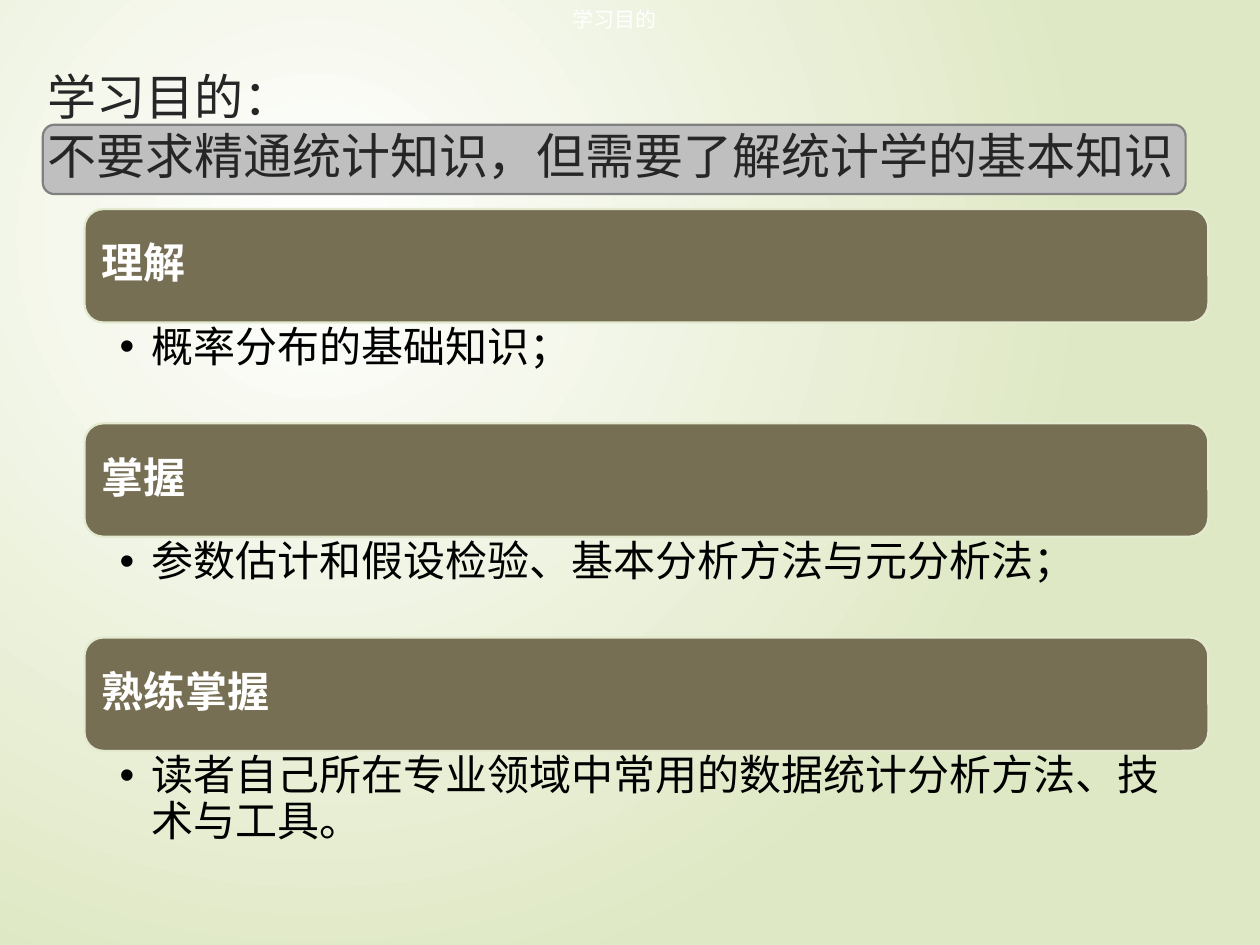
from lxml.etree import SubElement
from pptx import Presentation
from pptx.dml.color import RGBColor
from pptx.enum.shapes import MSO_SHAPE
from pptx.enum.text import MSO_ANCHOR, PP_ALIGN
from pptx.oxml.ns import qn
from pptx.util import Inches, Pt

HUES = {
    "white": "FFFFFF", "green": "DFE8C4", "gray": "BFBFBF", "edge": "808080",
    "olive": "766F54", "rim": "E3EACF", "dark": "262626", "black": "000000",
}
SANS = "Noto Sans CJK SC"
BODY = "TeX Gyre Adventor"


def hue(name):
    return RGBColor.from_string(HUES[name])


def write(frame, text, size=24, font=BODY, color="black", bold=False,
          space=0.9, align=PP_ALIGN.LEFT, bullet=False):
    para = frame.paragraphs[0]
    para.text = text
    para.alignment = align
    para.line_spacing = space
    if bullet:
        props = para._p.get_or_add_pPr()
        props.set("marL", str(Inches(0.25)))
        props.set("indent", str(-Inches(0.25)))
        SubElement(props, qn("a:buFont"), typeface="Arial")
        SubElement(props, qn("a:buChar"), char="•")
    for run in para.runs:
        run.font.size = Pt(size)
        run.font.bold = bold
        run.font.color.rgb = hue(color)
        run.font.name = font
        SubElement(run._r.get_or_add_rPr(), qn("a:ea"), typeface=font)


class Page:
    def __init__(self, deck):
        self.slide = deck.slides.add_slide(deck.slide_layouts[6])

    def back(self, inner, outer):
        fill = self.slide.background.fill
        fill.gradient()
        for stop, name, place in zip(fill.gradient_stops, (inner, outer), (0, 1)):
            stop.color.rgb = hue(name)
            stop.position = place
        grad = self.slide.background._cSld.find(".//" + qn("a:gradFill"))
        grad.remove(grad.find(qn("a:lin")))
        path = SubElement(grad, qn("a:path"), path="circle")
        SubElement(path, qn("a:fillToRect"), l="50000", t="50000",
                   r="100000", b="100000")

    def bar(self, left, top, width, height, fill, line):
        shape = self.slide.shapes.add_shape(
            MSO_SHAPE.ROUNDED_RECTANGLE, Inches(left), Inches(top),
            Inches(width), Inches(height))
        shape.shadow.inherit = False
        shape.fill.solid()
        shape.fill.fore_color.rgb = hue(fill)
        shape.line.color.rgb = hue(line)
        shape.line.width = Pt(1.25)

    def label(self, text, left, top, width, height, pad=(0.1, 0.05, 0.1, 0.05),
              anchor=MSO_ANCHOR.TOP, **style):
        box = self.slide.shapes.add_textbox(
            Inches(left), Inches(top), Inches(width), Inches(height))
        frame = box.text_frame
        frame.word_wrap = True
        frame.vertical_anchor = anchor
        (frame.margin_left, frame.margin_top,
         frame.margin_right, frame.margin_bottom) = map(Inches, pad)
        write(frame, text, **style)


def main():
    deck = Presentation()
    deck.slide_width, deck.slide_height = Inches(10), Inches(7.5)
    page = Page(deck)
    page.back("white", "green")
    page.label("学习目的", 3.88, 0, 2, 0.31, anchor=MSO_ANCHOR.MIDDLE, size=12,
               color="white", space=1, align=PP_ALIGN.CENTER)
    page.bar(0.34, 0.99, 9.07, 0.55, "gray", "edge")
    page.label("学习目的：\v不要求精通统计知识，但需要了解统计学的基本知识",
               0.28, 0.48, 9.34, 0.9, size=28, font=SANS, color="dark", space=1)

    goals = (
        ("理解", "概率分布的基础知识；"),
        ("掌握", "参数估计和假设检验、基本分析方法与元分析法；"),
        ("熟练掌握", "读者自己所在专业领域中常用的数据统计分析方法、技术与工具。"),
    )
    for row, (head, goal) in enumerate(goals):
        top = 1.66 + 1.7 * row
        page.bar(0.67, top, 8.92, 0.9, "olive", "rim")
        page.label(head, 0.71, top + 0.04, 8.83, 0.81, pad=(0.1,) * 4,
                   anchor=MSO_ANCHOR.MIDDLE, color="white", bold=True)
        page.label(goal, 0.67, top + 0.9, 8.92, 0.8,
                   pad=(0.28, 0.03, 0.19, 0.03), bullet=True)

    deck.save("out.pptx")


if __name__ == "__main__":
    main()
